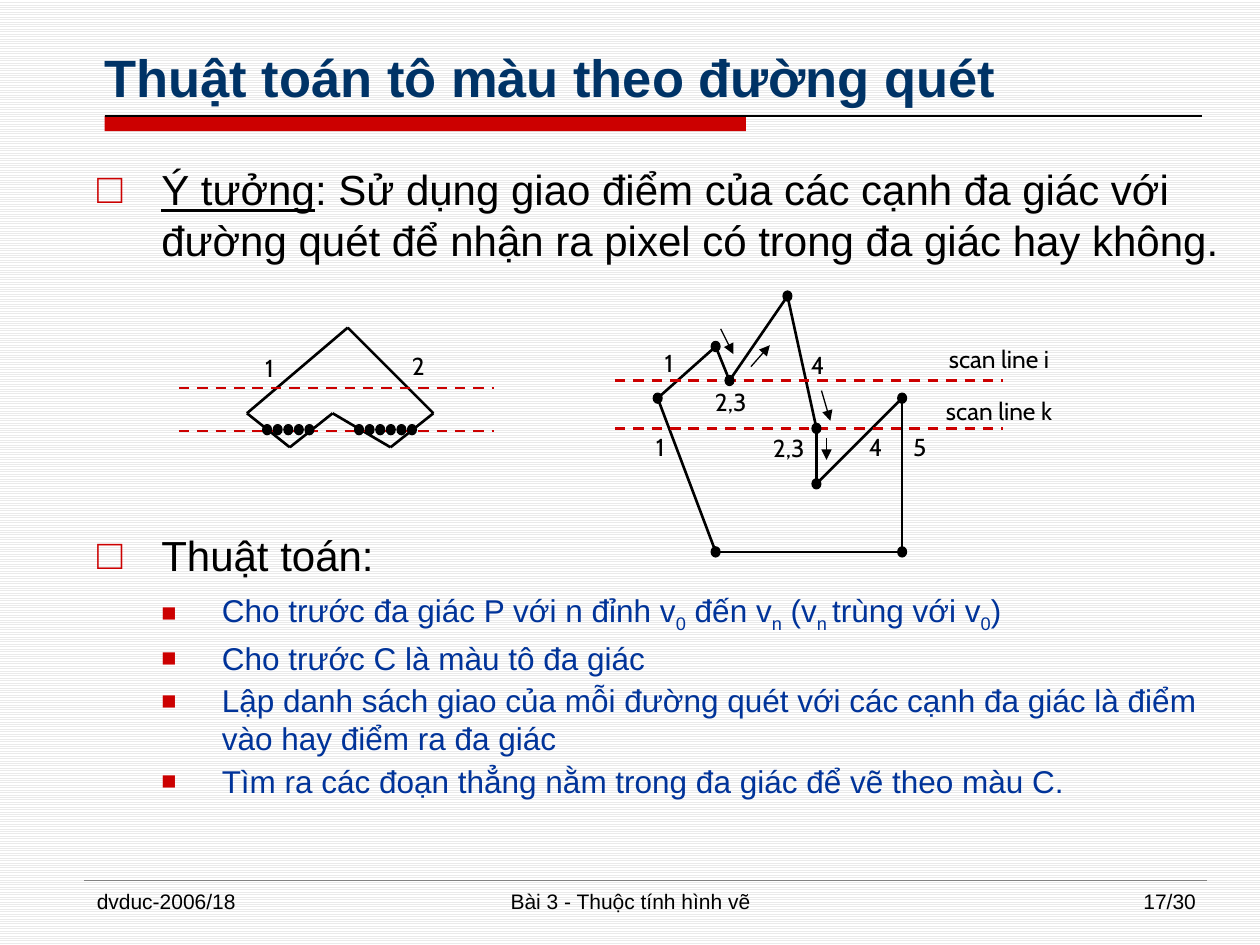
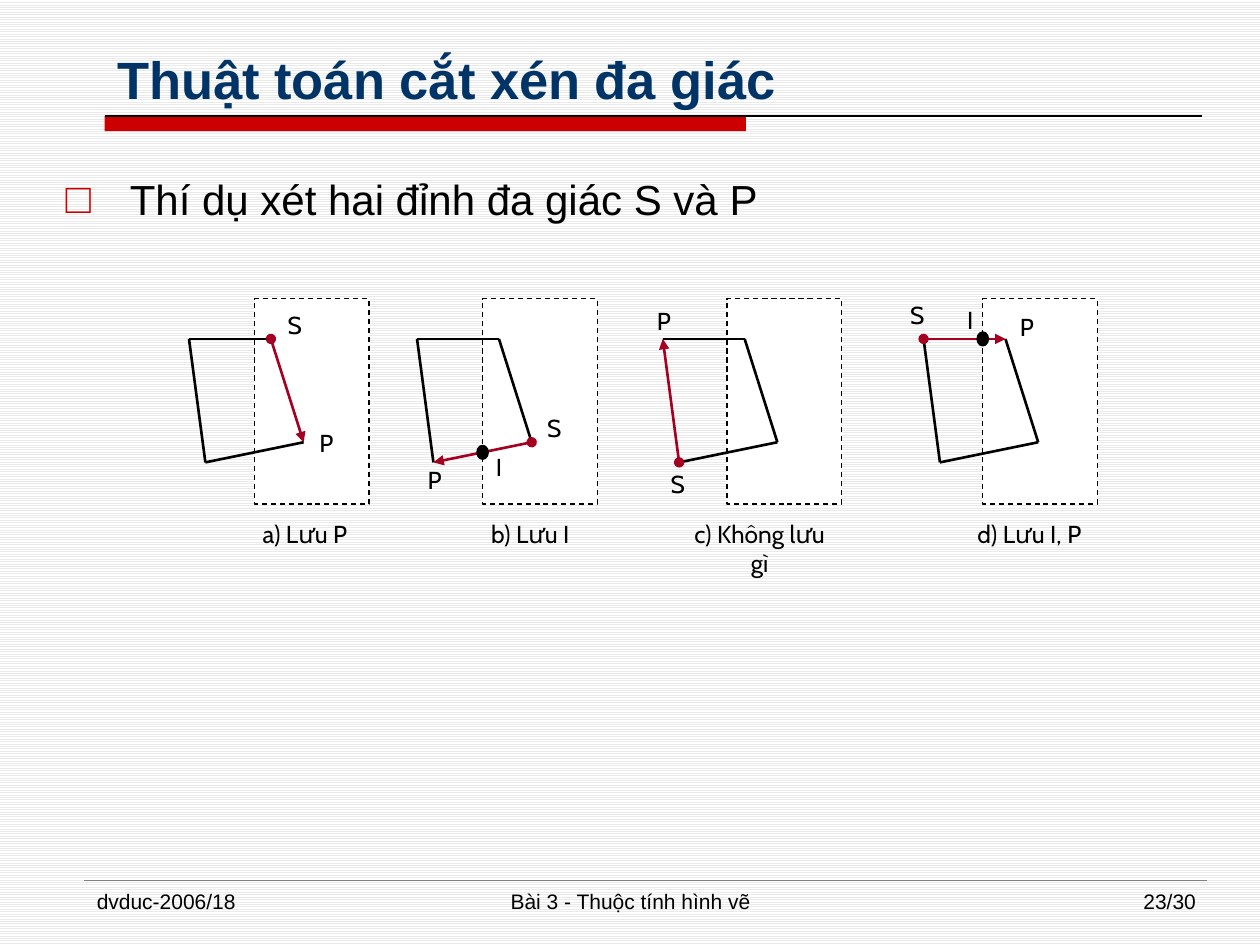
from lxml import etree
from pptx import Presentation
from pptx.dml.color import RGBColor
from pptx.enum.dml import MSO_LINE, MSO_PATTERN
from pptx.enum.shapes import MSO_CONNECTOR, MSO_SHAPE
from pptx.enum.text import MSO_ANCHOR, MSO_AUTO_SIZE, PP_ALIGN
from pptx.oxml.ns import qn
from pptx.util import Inches, Pt

BLACK = RGBColor(0x00, 0x00, 0x00)
WHITE = RGBColor(0xFF, 0xFF, 0xFF)
STRIPE = RGBColor(0xEA, 0xEA, 0xEA)
GREY = RGBColor(0x80, 0x80, 0x80)
RED = RGBColor(0xCC, 0x00, 0x00)
CRIMSON = RGBColor(0xA5, 0x00, 0x21)
NAVY = RGBColor(0x00, 0x33, 0x66)
BLUE = RGBColor(0x00, 0x33, 0x99)
TEXT_FONT, LABEL_FONT = "Arial", "Cabin"


def add_run(p, text, size, color=BLACK, font=TEXT_FONT):
    r = p.add_run()
    r.text = text
    r.font.name, r.font.size = font, Pt(size)
    r.font.color.rgb = color
    return r


def add_text(s, box, text, size=12, font=TEXT_FONT, align=PP_ALIGN.CENTER):
    tf = s.shapes.add_textbox(*map(Inches, box)).text_frame
    tf.word_wrap = True
    p = tf.paragraphs[0]
    p.alignment = align
    add_run(p, text, size, font=font)


def add_label(s, text, center, top, width=0.67):
    add_text(s, (center - width / 2, top, width, 0.41), text, 14, LABEL_FONT)


def add_line(s, start, end, color=BLACK, width=1.5, dash=False, head=None, tail=None):
    """Straight line; head and tail name the arrowheads at start and end."""
    line = s.shapes.add_connector(MSO_CONNECTOR.STRAIGHT, *map(Inches, (*start, *end)))
    line.line.color.rgb = color
    line.line.width = Pt(width)
    if dash:
        line.line.dash_style = MSO_LINE.DASH
    ln = line.line._get_or_add_ln()
    for tag, kind in (("a:headEnd", head), ("a:tailEnd", tail)):
        if kind:
            etree.SubElement(ln, qn(tag), type=kind)
    etree.SubElement(line._element.spPr, qn("a:effectLst"))


def add_shape(s, kind, box, fill, line_color=None, width=0.75):
    sp = s.shapes.add_shape(kind, *map(Inches, box))
    sp.shadow.inherit = False
    sp.fill.solid()
    sp.fill.fore_color.rgb = fill
    if line_color is None:
        sp.line.fill.background()
    else:
        sp.line.color.rgb = line_color
        sp.line.width = Pt(width)
    return sp


def add_dot(s, x, y, w=0.07, h=0.08, width=0.75):
    add_shape(s, MSO_SHAPE.OVAL, (x - w / 2, y - h / 2, w, h), BLACK, BLACK, width)


def place(ph, box):
    ph.left, ph.top, ph.width, ph.height = map(Inches, box)
    tf = ph.text_frame
    tf.word_wrap, tf.auto_size = True, MSO_AUTO_SIZE.NONE
    return tf


def add_slide(prs, title, title_box, number):
    """Slide with the shared title style, red band and footer."""
    s = prs.slides.add_slide(prs.slide_layouts[1])
    add_shape(s, MSO_SHAPE.RECTANGLE, (0.83, 0.92, 5.09, 0.12), RED)
    add_line(s, (0.83, 0.92), (9.54, 0.92), BLACK, 0.75)
    add_line(s, (0.67, 6.99), (9.58, 6.99), GREY, 0.25)

    tf = place(s.shapes.title, title_box)
    tf.vertical_anchor = MSO_ANCHOR.BOTTOM
    p = tf.paragraphs[0]
    p.alignment = PP_ALIGN.LEFT
    add_run(p, title, 30, NAVY).font.bold = True

    add_text(s, (0.67, 7, 2.17, 0.35), "dvduc-2006/18", align=PP_ALIGN.LEFT)
    add_text(s, (3.42, 7, 3.17, 0.35), "Bài 3 - Thuộc tính hình vẽ")
    add_text(s, (7.42, 7, 2.17, 0.35), f"{number}/30", align=PP_ALIGN.RIGHT)
    return s


def add_bullet(tf, parts, level=0, before=3.6, after=3.6, spacing=1.0):
    """Bulleted paragraph; parts are (text, style) with style "", "u" or "sub"."""
    p = tf.paragraphs[0] if not tf.paragraphs[0].runs else tf.add_paragraph()
    p.level = level
    p.line_spacing = spacing
    p.space_before, p.space_after = Pt(before), Pt(after)
    margin, hang, char, scale = ((0.51, 0.51, "□", 100), (0.99, 0.48, "■", 80))[level]
    pPr = p._p.get_or_add_pPr()
    pPr.set("marL", str(Inches(margin)))
    pPr.set("indent", str(-Inches(hang)))
    clr = etree.SubElement(pPr, qn("a:buClr"))
    etree.SubElement(clr, qn("a:srgbClr"), val=str(RED))
    etree.SubElement(pPr, qn("a:buSzPct"), val=str(scale * 1000))
    etree.SubElement(pPr, qn("a:buFont"), typeface=TEXT_FONT)
    etree.SubElement(pPr, qn("a:buChar"), char=char)
    for text, style in parts:
        r = add_run(p, text, (24, 18)[level], (BLACK, BLUE)[level])
        if style == "u":
            r.font.underline = True
        elif style == "sub":
            r._r.get_or_add_rPr().set("baseline", "-25000")


def shifted(points, left, top):
    return [(left + x, top + y) for x, y in points]


def add_polygon(s, points):
    for start, end in zip(points, points[1:] + points[:1]):
        add_line(s, start, end)


def add_scan_line(s, left, y, length):
    add_line(s, (left, y), (left + length, y), RED, dash=True)


def draw_notched_polygon(s, left, top):
    add_polygon(s, shifted([(0.54, 0.68), (1.34, 0), (2.02, 0.68), (1.68, 0.95),
                            (1.22, 0.68), (0.88, 0.95)], left, top))
    for y in (0.48, 0.82):
        add_scan_line(s, left, top + y, 2.5)
    for first, count in ((0.7, 5), (1.43, 6)):
        for i in range(count):
            add_dot(s, left + first + 0.084 * i, top + 0.81)
    add_label(s, "1", left + 0.72, top + 0.15)
    add_label(s, "2", left + 1.9, top + 0.14)


def draw_scanned_polygon(s, left, top):
    vertices = shifted([(0.34, 0.81), (0.8, 0.4), (0.91, 0.67), (1.37, 0), (1.6, 1.05),
                        (1.6, 1.49), (2.28, 0.81), (2.28, 2.03), (0.8, 2.03)], left, top)
    add_polygon(s, vertices)
    for y in (0.67, 1.05):
        add_scan_line(s, left, top + y, 3.08)
    for x, y in vertices:
        add_dot(s, x, y)
    for text, x, y in (("1", 0.43, 0.36), ("2,3", 0.92, 0.67), ("4", 1.61, 0.38),
                       ("1", 0.36, 1.03), ("2,3", 1.38, 1.04), ("4", 2.07, 1.03),
                       ("5", 2.42, 1.03)):
        add_label(s, text, left + x, top + y)
    for name, y in (("i", 0.33), ("k", 0.74)):
        add_label(s, f"scan line {name}", left + 3.05, top + y, 1.14)
    for arrow in (((0.84, 0.26), (0.94, 0.46)), ((1.08, 0.56), (1.23, 0.39)),
                  ((1.64, 0.75), (1.71, 0.99)), ((1.68, 1.13), (1.68, 1.3))):
        add_line(s, *shifted(arrow, left, top), width=0.75, tail="triangle")


def draw_clip_case(s, left, top, saved_edge, frame_gap, labels, caption):
    """Polygon against the clip frame; saved_edge runs from S to P."""
    frame = add_shape(s, MSO_SHAPE.RECTANGLE,
                      (left + frame_gap, top - 0.32, 0.91, 1.63), WHITE, BLACK)
    frame.line.dash_style = MSO_LINE.DASH
    corners = shifted([(0, 0), (0.65, 0), (0.91, 0.82), (0.13, 0.98)], left, top)
    edges = list(zip(corners, corners[1:] + corners[:1]))
    for i, (start, end) in enumerate(edges):
        if i != saved_edge:
            add_line(s, start, end)
    (sx, sy), (px, py) = edges[saved_edge]
    add_line(s, (sx, sy), (px, py), CRIMSON, head="oval", tail="triangle")
    if "I" in labels:
        x = left + frame_gap
        add_dot(s, x, sy + (py - sy) * (x - sx) / (px - sx), 0.08, 0.1, 1.5)
    for text, (x, y) in labels.items():
        add_label(s, text, left + x, top + y)
    text, center, width = caption
    add_label(s, text, left + center, top + 1.38, width)


def build_scan_line_slide(prs):
    s = add_slide(prs, "Thuật toán tô màu theo đường quét", (0.73, 0.08, 8.36, 0.83), 17)
    tf = place(s.placeholders[1], (0.67, 1.25, 9.13, 5.58))
    add_bullet(tf, [("Ý tưởng", "u"),
                    (": Sử dụng giao điểm của các cạnh đa giác với đường quét "
                     "để nhận ra pixel có trong đa giác hay không.", "")])
    add_bullet(tf, [("Thuật toán:", "")], before=148)
    add_bullet(tf, [("Cho trước đa giác P với n đỉnh v", ""), ("0", "sub"), (" đến v", ""),
                    ("n", "sub"), (" (v", ""), ("n ", "sub"), ("trùng với v", ""),
                    ("0", "sub"), (")", "")], 1, 2.7, 0)
    for text in ("Cho trước C là màu tô đa giác",
                 "Lập danh sách giao của mỗi đường quét với các cạnh đa giác "
                 "là điểm vào hay điểm ra đa giác",
                 "Tìm ra các đoạn thẳng nằm trong đa giác để vẽ theo màu C."):
        add_bullet(tf, [(text, "")], 1, 2.7, 0)
    draw_notched_polygon(s, 1.42, 2.6)
    draw_scanned_polygon(s, 4.88, 2.35)


def build_clipping_slide(prs):
    s = add_slide(prs, "Thuật toán cắt xén đa giác", (0.83, 0.17, 9, 0.75), 23)
    tf = place(s.placeholders[1], (0.42, 1.25, 9, 5.67))
    add_bullet(tf, [("Thí dụ xét hai đỉnh đa giác S và P", "")], spacing=1.2)
    cases = (
        (1.5, 1, 0.52, {"P": (1.09, 0.66), "S": (0.84, -0.28)}, ("a) Lưu P", 0.92, 1.01)),
        (3.31, 2, 0.52, {"P": (0.14, 0.95), "S": (1.09, 0.54), "I": (0.65, 0.85)},
         ("b) Lưu I", 0.9, 1.03)),
        (5.26, 3, 0.51, {"P": (0.01, -0.31), "S": (0.12, 0.98)},
         ("c) Không lưu gì", 0.77, 1.3)),
        (7.33, 0, 0.47, {"P": (0.82, -0.26), "S": (-0.05, -0.36), "I": (0.37, -0.32)},
         ("d) Lưu I, P", 0.84, 1.16)),
    )
    for left, *case in cases:
        draw_clip_case(s, left, 2.69, *case)


def main():
    prs = Presentation()
    prs.slide_width, prs.slide_height = Inches(10), Inches(7.5)
    fill = prs.slide_master.background.fill
    fill.patterned()
    fill.pattern = MSO_PATTERN.LIGHT_HORIZONTAL
    fill.fore_color.rgb, fill.back_color.rgb = STRIPE, WHITE
    build_scan_line_slide(prs)
    build_clipping_slide(prs)
    prs.save("out.pptx")


if __name__ == "__main__":
    main()
